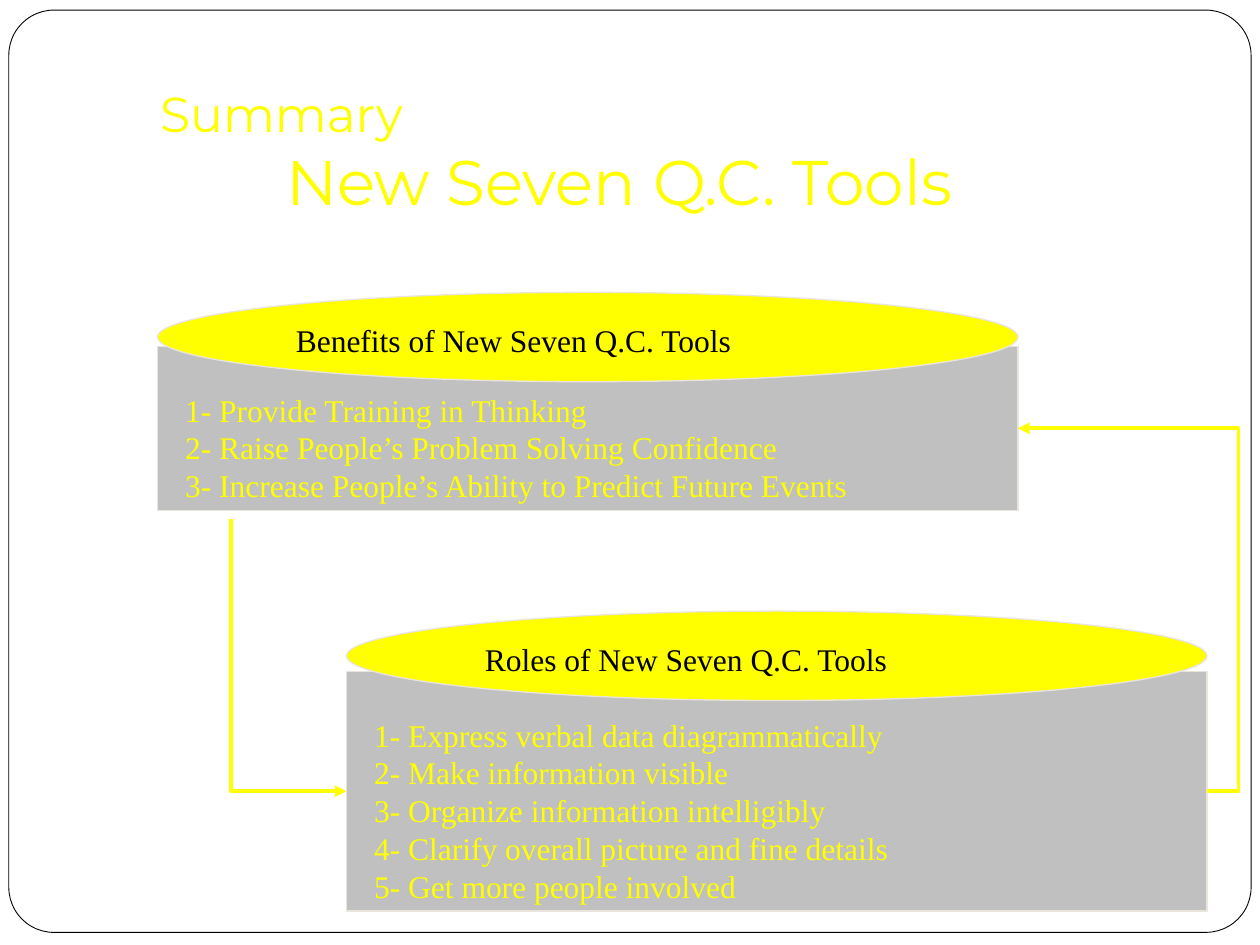
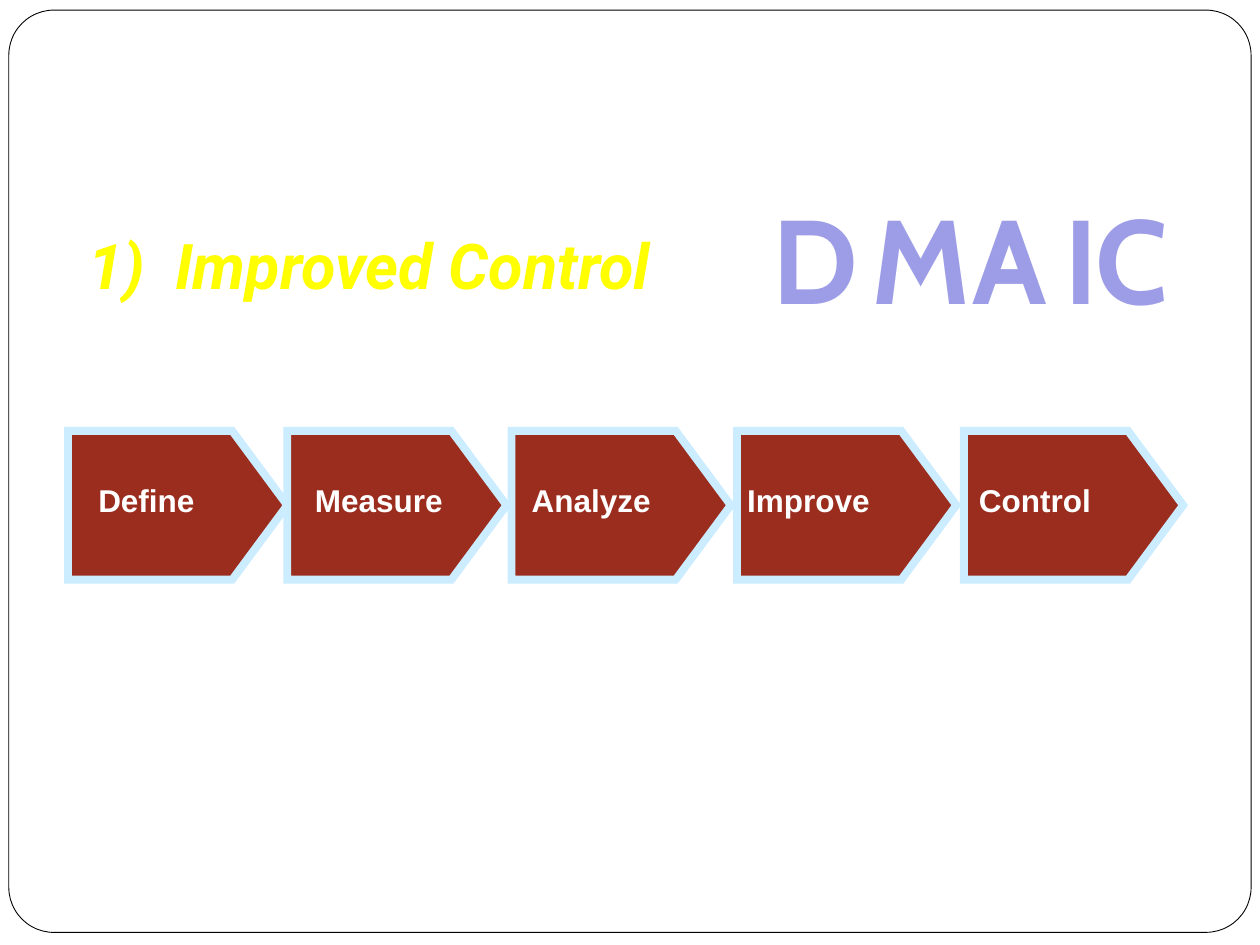
from lxml import etree
from pptx import Presentation
from pptx import util as u
from pptx.dml.color import RGBColor
from pptx.enum import shapes, text
from pptx.oxml import ns

COLOURS = {
    "white": "FFFFFF", "black": "000000", "yellow": "FFFF00", "grey": "C0C0C0",
    "edge": "E9E5DC", "lilac": "9D9DE7", "brick": "9B2D1F", "sky": "CCECFF",
}
SERIF = "Times New Roman"
PANEL_WIDTH, CAP_HEIGHT = 6.83, 0.71
INSETS = (0.1, 0.05, 0.1, 0.05)


def colour(name):
    return RGBColor.from_string(COLOURS[name])


def add_xml(parent, tag, **attributes):
    return etree.SubElement(parent, ns.qn(tag), attributes)


class Deck:
    def __init__(self):
        self.deck = Presentation()
        self.deck.slide_width, self.deck.slide_height = u.Inches(10), u.Inches(7.5)
        self.layout = self.deck.slide_layouts[5]
        self.page = None

    def new_page(self):
        self.page = self.deck.slides.add_slide(self.layout)

    def add_frame(self):
        """Draw the rounded frame once and move it to the shared layout."""
        frame = self.shape(shapes.MSO_SHAPE.ROUNDED_RECTANGLE, (0.07, 0.08, 9.86, 7.32),
                           "white", "black", 0.5)
        frame.adjustments[0] = 0.049
        frame.element.nvSpPr.cNvPr.set("id", "20")
        self.layout.shapes.element.insert(2, frame.element)

    def style(self, para, size, font, ink, bold=None, italic=None,
              align=text.PP_ALIGN.LEFT):
        para.alignment = align
        para.font.size, para.font.name = u.Pt(size), font
        para.font.bold, para.font.italic = bold, italic
        para.font.color.rgb = colour(ink)

    def fill_text(self, box, lines, anchor, insets, *look, wrap=True, **more):
        frame = box.text_frame
        frame.text = "\n".join(lines)
        frame.word_wrap, frame.auto_size = wrap, text.MSO_AUTO_SIZE.NONE
        frame.vertical_anchor = anchor
        (frame.margin_left, frame.margin_top,
         frame.margin_right, frame.margin_bottom) = map(u.Inches, insets)
        for para in frame.paragraphs:
            self.style(para, *look, **more)
        return frame.paragraphs

    def title(self, place, lines, anchor, insets, *look, **more):
        box = self.page.shapes.title
        box.left, box.top, box.width, box.height = map(u.Inches, place)
        return self.fill_text(box, lines, anchor, insets, *look, **more)

    def indent(self, para, left, first=0):
        properties = para._p.get_or_add_pPr()
        properties.set("marL", str(u.Inches(left)))
        properties.set("indent", str(u.Inches(first)))

    def shape(self, kind, place, fill, line, width):
        shape = self.page.shapes.add_shape(kind, *map(u.Inches, place))
        shape.shadow.inherit = False
        shape.fill.solid()
        shape.fill.fore_color.rgb = colour(fill)
        shape.line.color.rgb = colour(line)
        shape.line.width = u.Pt(width)
        return shape

    def panel(self, left, top, height, cap_top, heading, points):
        """A grey list box under an elliptical heading."""
        body = self.shape(shapes.MSO_SHAPE.RECTANGLE, (left, top, PANEL_WIDTH, height),
                          "grey", "edge", 0.75)
        lines = [f"{number}- {point}" for number, point in enumerate(points, 1)]
        self.fill_text(body, lines, text.MSO_ANCHOR.MIDDLE, (0.22, 0.35, 0.1, 0.05),
                       18, SERIF, "yellow")
        cap = self.shape(shapes.MSO_SHAPE.OVAL, (left, cap_top, PANEL_WIDTH, CAP_HEIGHT),
                         "yellow", "edge", 0.75)
        self.fill_text(cap, [heading], text.MSO_ANCHOR.MIDDLE, (0.1, 0.1, 0.1, 0.05),
                       18, SERIF, "black")

    def elbow(self, begin, end):
        connector = self.page.shapes.add_connector(
            shapes.MSO_CONNECTOR.ELBOW, *map(u.Inches, begin + end))
        connector.line.color.rgb = colour("yellow")
        connector.line.width = u.Pt(2.25)
        add_xml(connector.line._get_or_add_ln(), "a:tailEnd", type="triangle")
        properties = connector.element.spPr
        add_xml(properties, "a:effectLst")
        return properties

    def corner_arrow(self, begin, end):
        """Run down from begin, then right to end: a one-bend connector turned by 270 degrees."""
        (x1, y1), (x2, y2) = begin, end
        middle_x, middle_y = (x1 + x2) / 2, (y1 + y2) / 2
        half_w, half_h = (x2 - x1) / 2, (y2 - y1) / 2
        properties = self.elbow((middle_x + half_h, middle_y - half_w),
                                (middle_x - half_h, middle_y + half_w))
        properties.find(ns.qn("a:xfrm")).set("rot", str(270 * 60000))
        properties.find(ns.qn("a:prstGeom")).set("prst", "bentConnector2")

    def loop_arrow(self, begin, end, outer_x):
        """Leave begin to the right, turn at outer_x and come back to end."""
        bend = (outer_x - begin[0]) / (end[0] - begin[0])
        geometry = self.elbow(begin, end).find(ns.qn("a:prstGeom"))
        guides = geometry.find(ns.qn("a:avLst"))
        if guides is None:
            guides = add_xml(geometry, "a:avLst")
        add_xml(guides, "a:gd", name="adj1", fmla=f"val {round(bend * 100000)}")

    def letter(self, left, width, character):
        box = self.page.shapes.add_textbox(*map(u.Inches, (left, 1.42, width, 1.23)))
        self.fill_text(box, [character], text.MSO_ANCHOR.TOP, INSETS, 68, "Cabin", "lilac",
                       bold=True, align=text.PP_ALIGN.RIGHT, wrap=False)

    def step(self, left, margin, name):
        arrow = self.shape(shapes.MSO_SHAPE.PENTAGON, (left, 3.42, 1.74, 1.18),
                           "brick", "sky", 4.5)
        arrow.adjustments[0] = 0.37
        add_xml(arrow.line._get_or_add_ln(), "a:miter", lim="800000")
        self.fill_text(arrow, [name], text.MSO_ANCHOR.MIDDLE, (margin, 0, 0, 0.08),
                       18, "Arial", "white", bold=True)


def summary_page(deck):
    deck.new_page()
    deck.add_frame()
    first, second = deck.title((1.17, 0.33, 8.58, 1.5), ["Summary", "New Seven Q.C. Tools"],
                               text.MSO_ANCHOR.BOTTOM, (0.1, 0.05, 0.1, 0.1),
                               36, "Montserrat", "yellow", bold=False)
    first.font.size = u.Pt(28)
    deck.indent(second, 1)
    deck.panel(1.25, 2.75, 1.3, 2.32, "Benefits of New Seven Q.C. Tools", [
        "Provide Training in Thinking",
        "Raise People’s Problem Solving Confidence",
        "Increase People’s Ability to Predict Future Events",
    ])
    deck.panel(2.75, 5.33, 1.9, 4.85, "Roles of New Seven Q.C. Tools", [
        "Express verbal data diagrammatically",
        "Make information visible",
        "Organize information intelligibly",
        "Clarify overall picture and fine details",
        "Get more people involved",
    ])
    deck.corner_arrow((1.83, 4.12), (2.75, 6.28))
    deck.loop_arrow((9.58, 6.28), (8.08, 3.4), 9.83)


def dmaic_page(deck):
    deck.new_page()
    heading, = deck.title((0.6, 1.75, 5.07, 0.7), ["1)\tImproved Control"],
                          text.MSO_ANCHOR.TOP, INSETS, 36, "Roboto", "yellow",
                          bold=True, italic=True)
    deck.indent(heading, 0.69, -0.69)
    for left, width, character in [(6.01, 0.9, "D"), (6.71, 1.09, "M"), (7.56, 0.85, "A"),
                                   (8.24, 0.57, "I"), (8.57, 0.8, "C")]:
        deck.letter(left, width, character)
    for left, margin, name in [(0.54, 0.24, "Define"), (2.28, 0.22, "Measure"),
                               (4.06, 0.16, "Analyze"), (5.85, 0.08, "Improve"),
                               (7.65, 0.12, "Control")]:
        deck.step(left, margin, name)


def main():
    deck = Deck()
    summary_page(deck)
    dmaic_page(deck)
    deck.deck.save("out.pptx")


if __name__ == "__main__":
    main()
